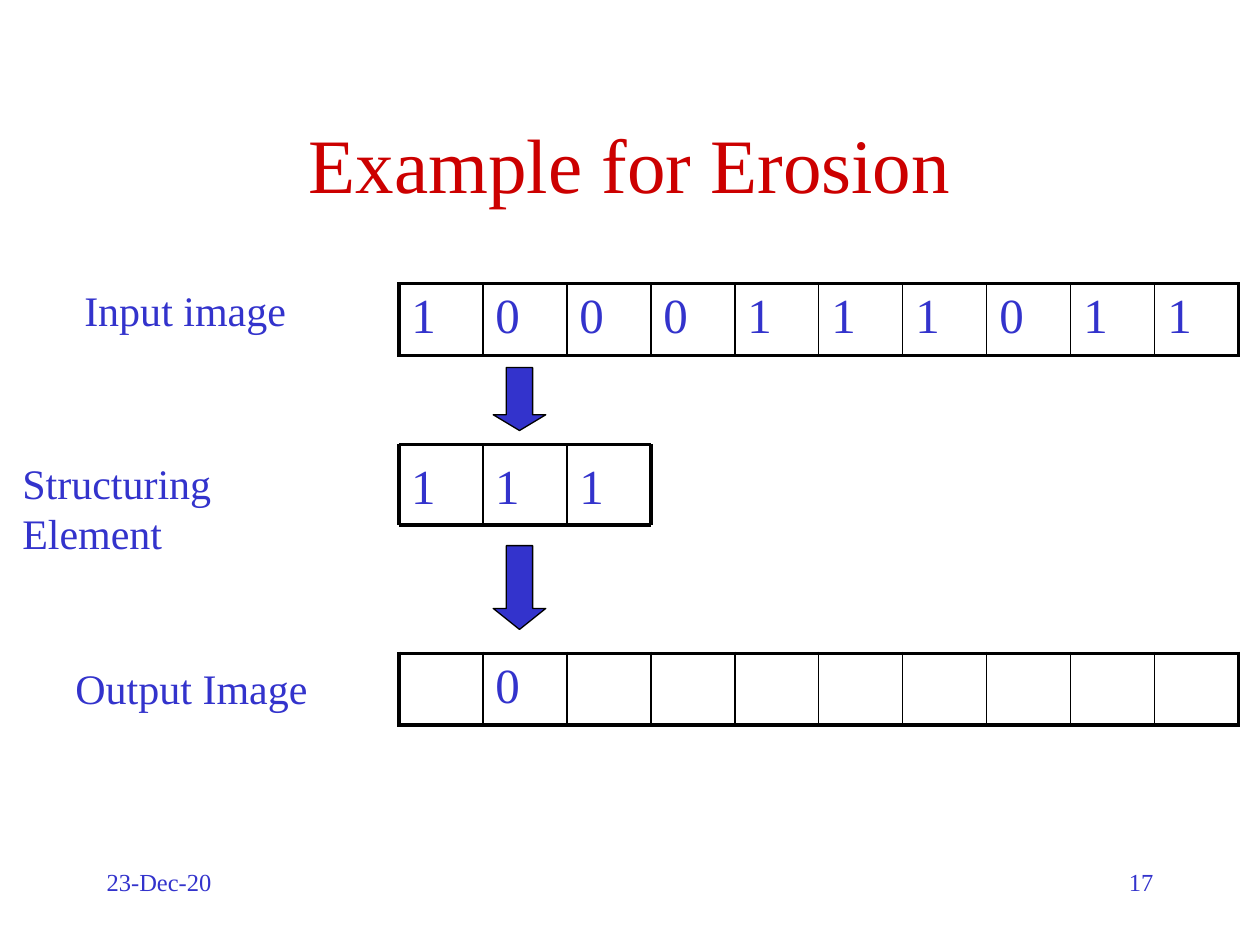
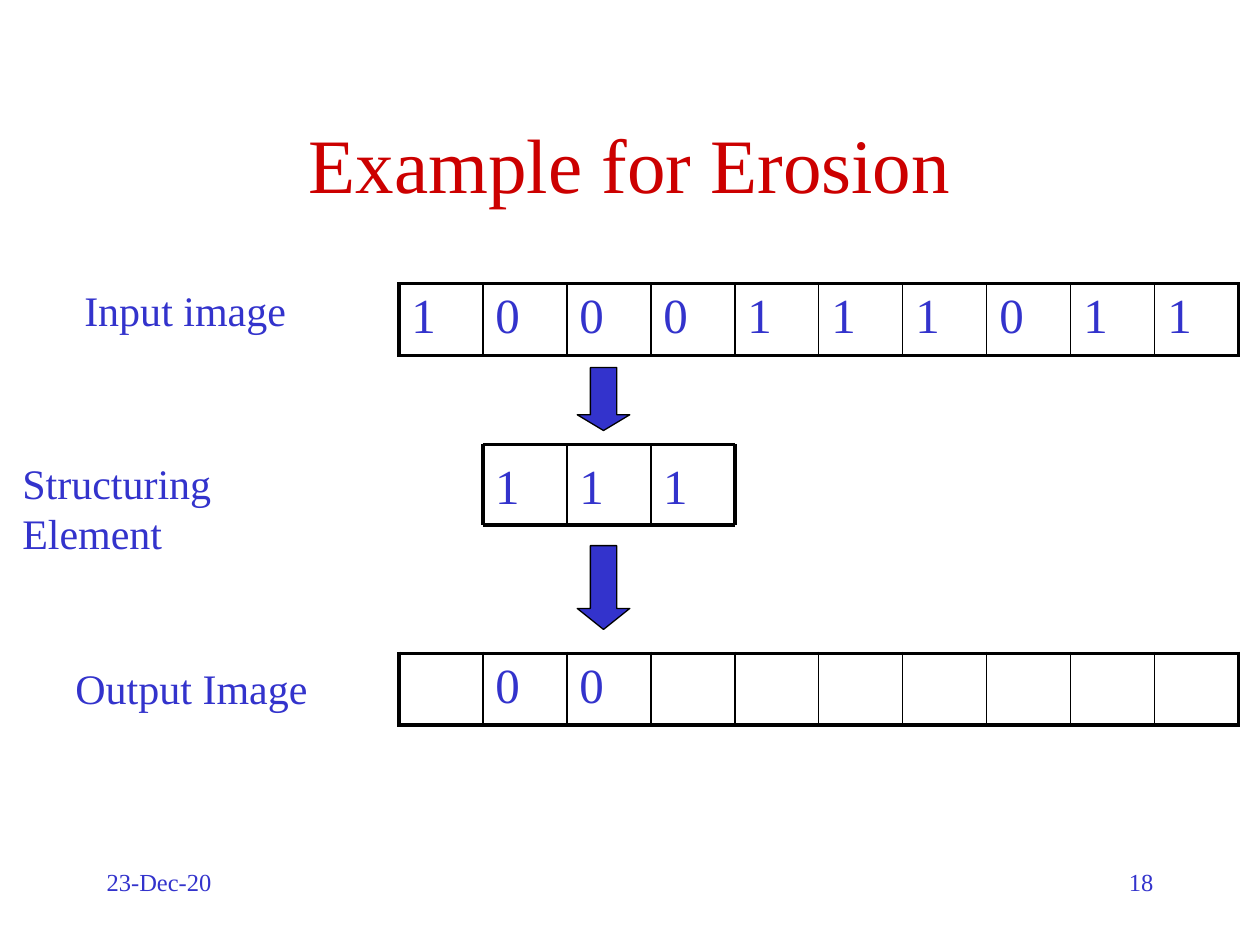
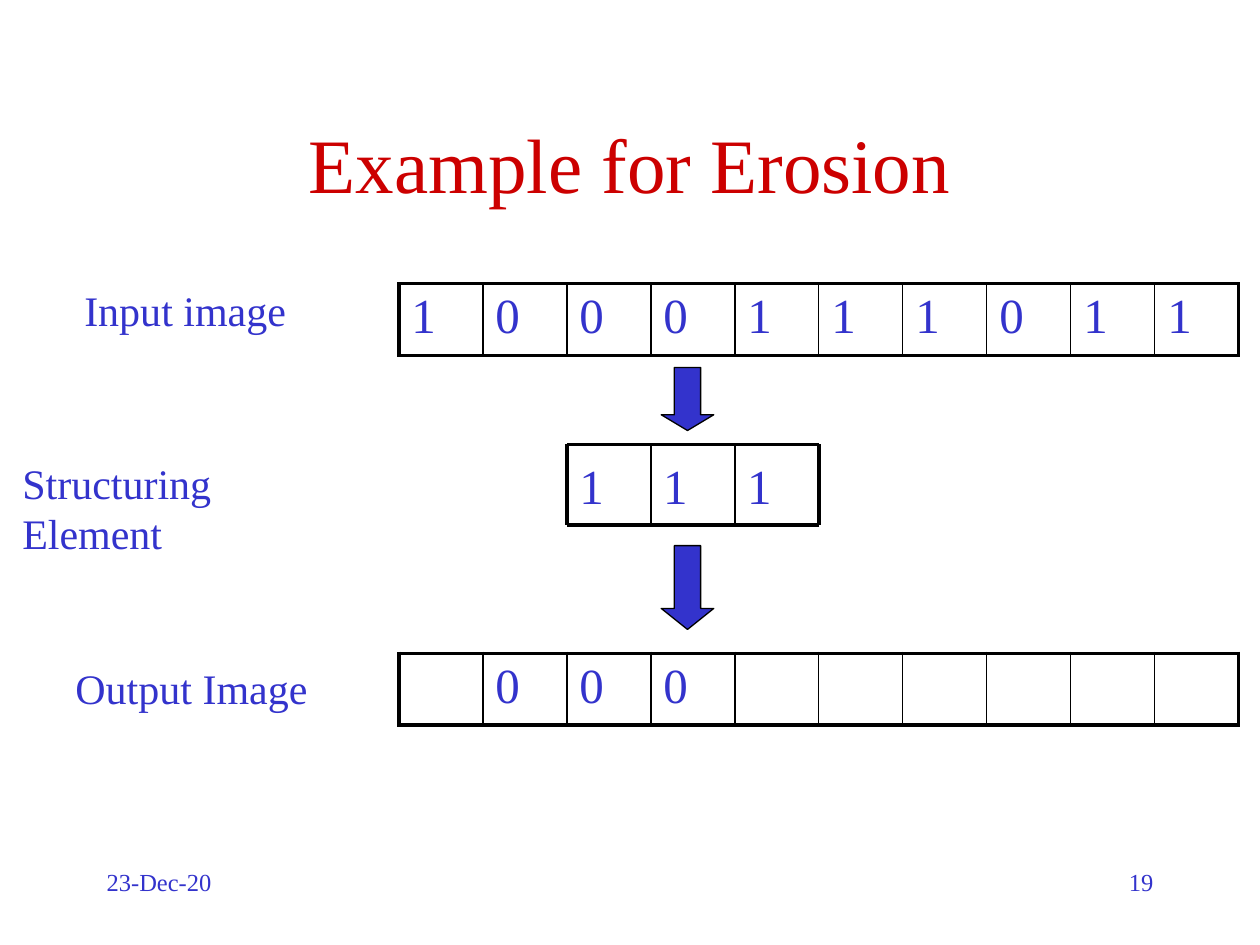
from dataclasses import dataclass

from lxml import etree
from pptx import Presentation
from pptx import util as u
from pptx.dml.color import RGBColor
from pptx.enum import shapes, text
from pptx.oxml import ns

Cm, Pt = u.Cm, u.Pt


@dataclass(frozen=True)
class Theme:
    font: str = "Times New Roman"
    title_color: str = "CC0000"
    ink: str = "3333CC"
    line: str = "000000"
    title_size: int = 44
    digit_size: int = 28
    label_size: int = 24
    footer_size: int = 14
    outer_line: float = 2.25
    inner_line: float = 1
    arrow_line: float = 0.75


INPUT = [1, 0, 0, 0, 1, 1, 1, 0, 1, 1]
ELEMENT = [1, 1, 1]
STEPS = 3
FIRST_PAGE = 17
TITLE = "Example for Erosion"
DATE = "23-Dec-20"
LABELS = [  # text, left, top, width
    ("Input image", 1.45, 5.61, 4.57),
    ("Structuring Element", 0.2, 9.09, 7.34),
    ("Output Image", 1.27, 13.23, 5.18),
]
ARROWS = [(7.41, 1.27, 0.3), (11, 1.69, 0.4)]  # top, height, head ratio

GRID_LEFT = 8.04
CELL = 5.08 / 3
ROW_HEIGHT = 1.44
INPUT_TOP, OUTPUT_TOP = 5.72, 13.17
ELEMENT_TOP, ELEMENT_HEIGHT = 8.96, 1.62


def erode(step):
    """Return the output row once the element has moved step cells right."""
    row = [""] * len(INPUT)
    for start in range(step + 1):
        window = INPUT[start:start + len(ELEMENT)]
        row[start + 1] = int(window == ELEMENT)
    return row


class ErosionDeck:
    def __init__(self, theme):
        self.theme = theme
        self.deck = Presentation()
        self.deck.slide_width, self.deck.slide_height = Cm(25.4), Cm(19.05)
        self.slide = None

    def new_slide(self, title, page_number):
        self.slide = self.deck.slides.add_slide(self.deck.slide_layouts[5])
        self.title(title)
        self.text(DATE, 1.9, 17.36, 5.29, 1.27, self.theme.footer_size)
        number = self.text(str(page_number), 18.21, 17.36, 5.29, 1.27, self.theme.footer_size)
        number.text_frame.paragraphs[0].alignment = text.PP_ALIGN.RIGHT

    def style(self, para, size, color=None):
        para.font.name = self.theme.font
        para.font.size = Pt(size)
        para.font.color.rgb = RGBColor.from_string(color or self.theme.ink)

    def title(self, words):
        box = self.slide.shapes.title
        box.left, box.top, box.width, box.height = Cm(1.9), Cm(1.69), Cm(21.6), Cm(3.18)
        frame = box.text_frame
        frame.text = words
        frame.auto_size = text.MSO_AUTO_SIZE.NONE
        frame.vertical_anchor = text.MSO_ANCHOR.MIDDLE
        frame.paragraphs[0].alignment = text.PP_ALIGN.CENTER
        self.style(frame.paragraphs[0], self.theme.title_size, self.theme.title_color)

    def text(self, words, left, top, width, height, size, parent=None):
        box = (parent or self.slide).shapes.add_textbox(Cm(left), Cm(top), Cm(width), Cm(height))
        box.text_frame.word_wrap = True
        box.text_frame.text = words
        self.style(box.text_frame.paragraphs[0], size)
        return box

    def label(self, words, left, top, width):
        frame = self.text(words, left, top, width, 1.27, self.theme.label_size).text_frame
        frame.word_wrap = False
        frame.auto_size = text.MSO_AUTO_SIZE.SHAPE_TO_FIT_TEXT

    def border(self, cell, side, width):
        edge = etree.SubElement(cell._tc.get_or_add_tcPr(), ns.qn(f"a:ln{side}"), w=str(Pt(width)))
        fill = etree.SubElement(edge, ns.qn("a:solidFill"))
        etree.SubElement(fill, ns.qn("a:srgbClr"), val=self.theme.line)

    def pixel_row(self, values, top):
        count = len(values)
        table = self.slide.shapes.add_table(
            1, count, Cm(GRID_LEFT), Cm(top), Cm(CELL * count), Cm(ROW_HEIGHT)).table
        table.first_row = table.horz_banding = False
        outer, inner = self.theme.outer_line, self.theme.inner_line
        for index, value in enumerate(values):
            cell = table.cell(0, index)
            cell.text = str(value)
            self.style(cell.text_frame.paragraphs[0], self.theme.digit_size)
            self.border(cell, "L", outer if index == 0 else inner)
            self.border(cell, "R", outer if index == count - 1 else inner)
            self.border(cell, "T", outer)
            self.border(cell, "B", outer)
            cell.fill.background()

    def line(self, parent, start, end, width):
        line = parent.shapes.add_connector(
            shapes.MSO_CONNECTOR.STRAIGHT, *(Cm(value) for value in (*start, *end)))
        line.line.color.rgb = RGBColor.from_string(self.theme.line)
        line.line.width = Pt(width)
        etree.SubElement(line._element.spPr, ns.qn("a:effectLst"))

    def structuring_element(self, left):
        group = self.slide.shapes.add_group_shape()
        count = len(ELEMENT)
        bottom = ELEMENT_TOP + ELEMENT_HEIGHT
        for index, value in enumerate(ELEMENT):
            box = self.text(str(value), left + index * CELL, ELEMENT_TOP, CELL,
                            ELEMENT_HEIGHT, self.theme.digit_size, group)
            box.text_frame.margin_top = Cm(0.23)
        for y in (ELEMENT_TOP, bottom):
            self.line(group, (left, y), (left + count * CELL, y), self.theme.outer_line)
        for index in range(count + 1):
            x = left + index * CELL
            width = self.theme.outer_line if index in (0, count) else self.theme.inner_line
            self.line(group, (x, ELEMENT_TOP), (x, bottom), width)

    def down_arrow(self, left, top, height, head):
        arrow = self.slide.shapes.add_shape(
            shapes.MSO_SHAPE.DOWN_ARROW, Cm(left), Cm(top), Cm(1.06), Cm(height))
        arrow.adjustments[0], arrow.adjustments[1] = 0.5, head
        arrow.shadow.inherit = False
        arrow.fill.solid()
        arrow.fill.fore_color.rgb = RGBColor.from_string(self.theme.ink)
        arrow.line.color.rgb = RGBColor.from_string(self.theme.line)
        arrow.line.width = Pt(self.theme.arrow_line)


def main():
    show = ErosionDeck(Theme())
    for step in range(STEPS):
        show.new_slide(TITLE, FIRST_PAGE + step)
        show.pixel_row(INPUT, INPUT_TOP)
        show.pixel_row(erode(step), OUTPUT_TOP)
        for label in LABELS:
            show.label(*label)
        element_left = GRID_LEFT + step * CELL
        show.structuring_element(element_left)
        for arrow in ARROWS:
            show.down_arrow(element_left + CELL + 0.21, *arrow)
    show.deck.save("out.pptx")


if __name__ == "__main__":
    main()
